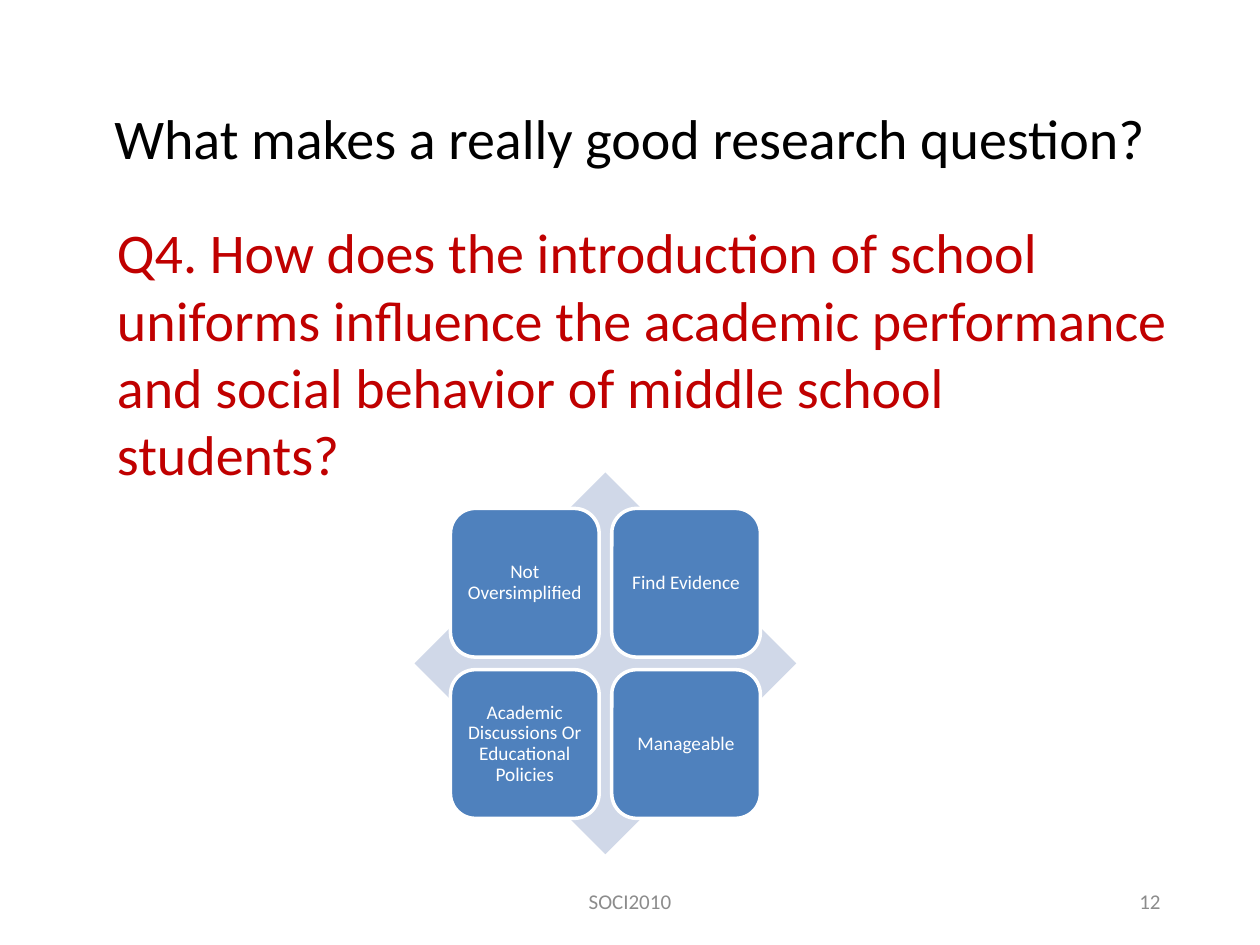
import pptx
import pptx.dml.color
import pptx.enum.shapes
import pptx.enum.text
import pptx.util

SLIDE_WIDTH, SLIDE_HEIGHT = 10, 7.5
DIAMOND_LEFT, DIAMOND_TOP, DIAMOND_SIZE = 3.29, 3.75, 3.03
TILE_SIZE, TILE_STEP = 1.18, 1.28
TILE_MARGIN = (DIAMOND_SIZE - TILE_STEP - TILE_SIZE) / 2
TILES = [
    ["Not Oversimplified", "Find Evidence"],
    ["Academic Discussions Or Educational Policies", "Manageable"],
]
ALIGN = pptx.enum.text.PP_ALIGN
ANCHOR = pptx.enum.text.MSO_ANCHOR
SHAPE = pptx.enum.shapes.MSO_SHAPE


def color(value):
    """Turn a hex string into a colour."""
    return pptx.dml.color.RGBColor.from_string(value)


def set_values(target, values):
    """Set every attribute named in a dict of format values."""
    for name, value in values.items():
        setattr(target, name, value)


def place(shape, left, top, width, height):
    """Move and size a shape in inches."""
    names = ("left", "top", "width", "height")
    lengths = map(pptx.util.Inches, (left, top, width, height))
    set_values(shape, dict(zip(names, lengths)))


def write(shape, text, size, ink, paragraph, inset=(0.1, 0.05), anchor=ANCHOR.MIDDLE):
    """Write one formatted paragraph into a shape."""
    frame = shape.text_frame
    across, down = map(pptx.util.Inches, inset)
    set_values(frame, {
        "word_wrap": True,
        "auto_size": pptx.enum.text.MSO_AUTO_SIZE.NONE,
        "vertical_anchor": anchor,
        "margin_left": across, "margin_right": across,
        "margin_top": down, "margin_bottom": down,
    })
    para = frame.paragraphs[0]
    set_values(para, paragraph)
    span = para.add_run()
    span.text = text
    set_values(span.font, {"name": "Calibri", "size": pptx.util.Pt(size)})
    span.font.color.rgb = color(ink)


def add_text(page, text, area, size, ink, paragraph, anchor=ANCHOR.MIDDLE):
    """Add a text box."""
    box = page.shapes.add_textbox(0, 0, 0, 0)
    place(box, *area)
    write(box, text, size, ink, paragraph, anchor=anchor)


def add_shape(shapes, kind, area, fill, line=None):
    """Add a flat preset shape with an optional outline."""
    shape = shapes.add_shape(kind, *map(pptx.util.Inches, area))
    shape.shadow.inherit = False
    shape.fill.solid()
    shape.fill.fore_color.rgb = color(fill)
    if line:
        shape.line.color.rgb = color(line)
        shape.line.width = pptx.util.Pt(2)
    else:
        shape.line.fill.background()
    return shape


def add_matrix(page):
    """Add the diamond with its two by two grid of criteria."""
    shapes = page.shapes.add_group_shape().shapes
    area = (DIAMOND_LEFT, DIAMOND_TOP, DIAMOND_SIZE, DIAMOND_SIZE)
    add_shape(shapes, SHAPE.DIAMOND, area, "D0D8E8")
    for row, labels in enumerate(TILES):
        for column, label in enumerate(labels):
            left = DIAMOND_LEFT + TILE_MARGIN + column * TILE_STEP
            top = DIAMOND_TOP + TILE_MARGIN + row * TILE_STEP
            area = (left, top, TILE_SIZE, TILE_SIZE)
            tile = add_shape(shapes, SHAPE.ROUNDED_RECTANGLE, area, "4F81BD", "FFFFFF")
            paragraph = {"alignment": ALIGN.CENTER, "line_spacing": 0.9}
            write(tile, label, 11, "FFFFFF", paragraph, inset=(0.05, 0.05))


def main():
    """Build and save the slide."""
    deck = pptx.Presentation()
    deck.slide_width = pptx.util.Inches(SLIDE_WIDTH)
    deck.slide_height = pptx.util.Inches(SLIDE_HEIGHT)
    page = deck.slides.add_slide(deck.slide_layouts.get_by_name("Title Only"))
    title = page.shapes.title
    place(title, 0.69, 0.4, 8.62, 1.45)
    write(title, "What makes a really good research question?", 32, "000000",
          {"alignment": ALIGN.CENTER, "line_spacing": 0.9})
    add_text(page, "Q4. How does the introduction of school uniforms influence the "
             "academic performance and social behavior of middle school students?",
             (0.83, 1.68, 8.62, 1.91), 32, "C00000",
             {"alignment": ALIGN.LEFT, "space_before": pptx.util.Pt(6.4)}, ANCHOR.TOP)
    add_matrix(page)
    footers = [("SOCI2010", 3.31, 3.38, ALIGN.CENTER), ("12", 7.06, 2.25, ALIGN.RIGHT)]
    for text, left, width, alignment in footers:
        add_text(page, text, (left, 6.95, width, 0.4), 12, "8C8C8C",
                 {"alignment": alignment, "space_after": pptx.util.Pt(6)})
    deck.save("out.pptx")


if __name__ == "__main__":
    main()
